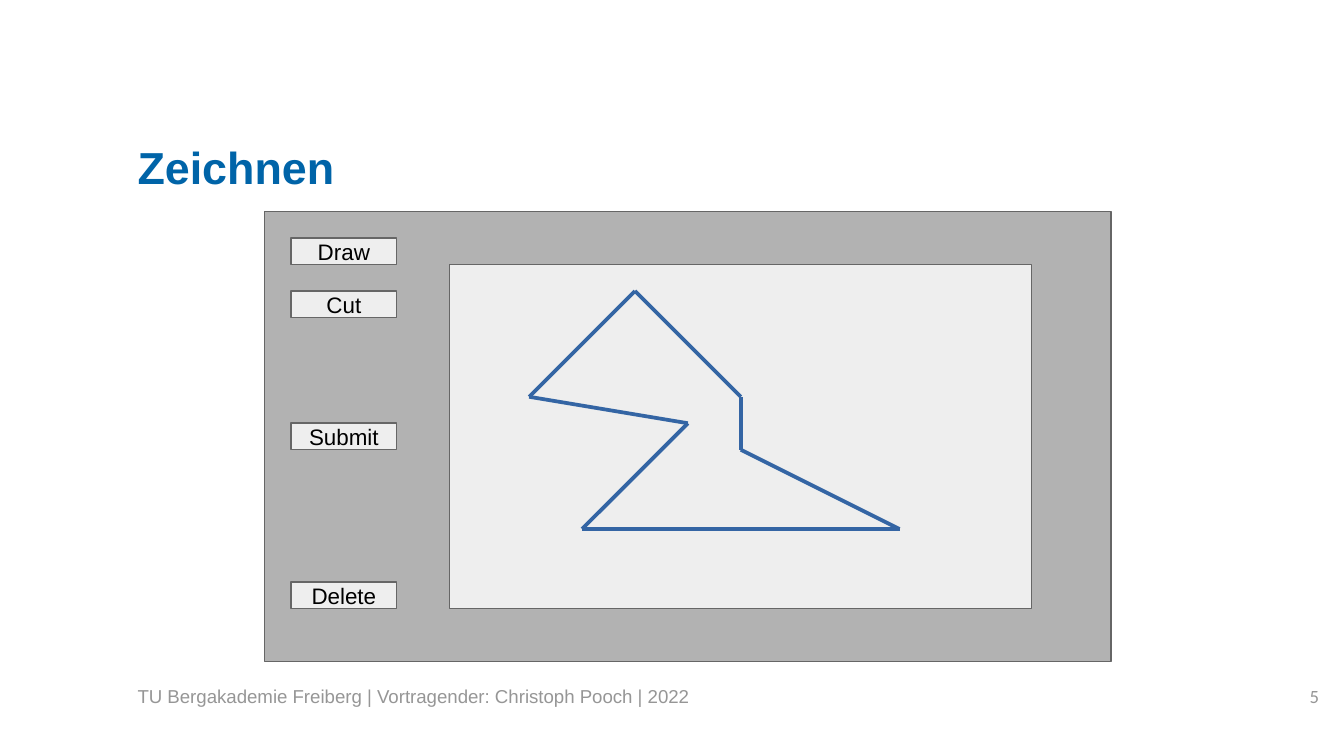
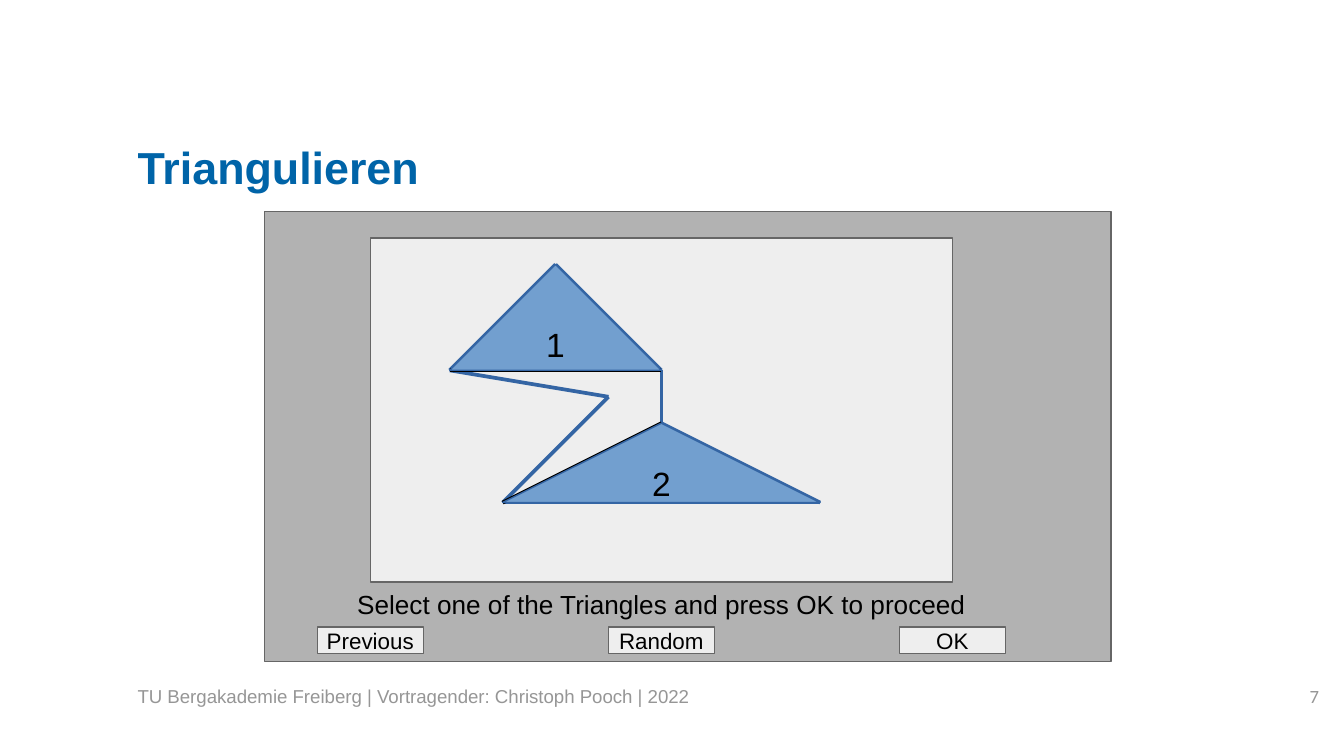
from dataclasses import dataclass

from lxml import etree
from pptx import Presentation
from pptx import util as u
from pptx.dml.color import RGBColor
from pptx.enum import shapes, text
from pptx.oxml import ns


@dataclass(frozen=True)
class Theme:
    font: str = "Arial"
    number_font: str = "Calibri"
    title: str = "0064A8"
    footer: str = "969696"
    ink: str = "000000"
    window: str = "B2B2B2"
    panel: str = "EEEEEE"
    border: str = "666666"
    stroke: str = "3465A4"
    triangle: str = "729FCF"
    title_size: int = 24
    label_size: int = 18
    prompt_size: int = 14
    button_size: int = 12
    footer_size: int = 10


theme = Theme()
RECT = shapes.MSO_SHAPE.RECTANGLE
TRIANGLE = shapes.MSO_SHAPE.ISOSCELES_TRIANGLE
LEFT, CENTER, RIGHT = text.PP_ALIGN.LEFT, text.PP_ALIGN.CENTER, text.PP_ALIGN.RIGHT


def write(tf, words, size, color, align=LEFT, font=theme.font, bold=False, inset=None):
    if inset is not None:
        tf.margin_left = tf.margin_top = tf.margin_right = tf.margin_bottom = inset
    p = tf.paragraphs[0]
    p.alignment = align
    r = p.add_run()
    r.text = words
    r.font.name, r.font.size, r.font.bold = font, u.Pt(size), bold
    r.font.color.rgb = RGBColor.from_string(color)


def add_block(s, kind, box, fill, line, words="", size=theme.button_size):
    sp = s.shapes.add_shape(kind, *map(u.Cm, box))
    sp.shadow.inherit = False
    sp.fill.solid()
    sp.fill.fore_color.rgb = RGBColor.from_string(fill)
    sp.line.color.rgb = RGBColor.from_string(line)
    sp.line.width = u.Pt(0)
    if words:
        tf = sp.text_frame
        tf.word_wrap = False
        tf.vertical_anchor = text.MSO_ANCHOR.MIDDLE
        write(tf, words, size, theme.ink, CENTER)


# Polygon corners in cm, measured from the canvas corner
outline = [(1.5, 2.5), (3.5, 0.5), (5.5, 2.5), (5.5, 3.5), (8.5, 5), (2.5, 5), (4.5, 3)]
edges = [(a, b, theme.stroke) for a, b in zip(outline, outline[1:] + outline[:1])]
cuts = [(outline[5], outline[3], theme.ink), (outline[0], outline[2], theme.ink)]

pages = [
    dict(title="Zeichnen", number="5", canvas=(8.5, 5), lines=edges, triangles=[],
         prompt="",
         buttons=[("Draw", 5.5, 4.5), ("Cut", 5.5, 5.5),
                  ("Submit", 5.5, 8), ("Delete", 5.5, 11)]),
    dict(title="Triangulieren", number="7", canvas=(7, 4.5), lines=edges + cuts,
         triangles=[("2", 2.5, 3.5, 6, 1.5), ("1", 1.5, 0.5, 4, 2)],
         prompt="Select one of the Triangles and press OK to proceed",
         buttons=[(name, 6 + 5.5 * i, 11.85)
                  for i, name in enumerate(("Previous", "Random", "OK"))]),
]

prs = Presentation()
prs.slide_width, prs.slide_height = u.Cm(25.4), u.Cm(14.29)

for page in pages:
    s = prs.slides.add_slide(prs.slide_layouts[5])

    # Title
    title = s.shapes.title
    title.left, title.top, title.width, title.height = map(u.Cm, (2.6, 2.54, 20.3, 1.2))
    title.text_frame.vertical_anchor = text.MSO_ANCHOR.MIDDLE
    write(title.text_frame, page["title"], theme.title_size, theme.title, bold=True, inset=0)

    # Footer and page number
    for words, left, width, align, font in (
        ("TU Bergakademie Freiberg | Vortragender: Christoph Pooch | 2022",
         2.6, 20.3, LEFT, theme.font),
        (page["number"], 22.9, 2.03, RIGHT, theme.number_font),
    ):
        tf = s.shapes.add_textbox(*map(u.Cm, (left, 12.95, width, 1))).text_frame
        tf.word_wrap = True
        write(tf, words, theme.footer_size, theme.footer, align, font, inset=0)

    # Window and canvas
    x0, y0 = page["canvas"]
    add_block(s, RECT, (5, 4, 16, 8.5), theme.window, theme.border)
    add_block(s, RECT, (x0, y0, 11, 6.5), theme.panel, theme.border)

    # Polygon edges and cuts
    for (xa, ya), (xb, yb), color in page["lines"]:
        ends = map(u.Cm, (x0 + xa, y0 + ya, x0 + xb, y0 + yb))
        line = s.shapes.add_connector(shapes.MSO_CONNECTOR.STRAIGHT, *ends)
        line.line.color.rgb = RGBColor.from_string(color)
        line.line.width = u.Pt(0)
        etree.SubElement(line._element.spPr, ns.qn("a:effectLst"))

    # Numbered triangles
    for name, x, y, w, h in page["triangles"]:
        add_block(s, TRIANGLE, (x0 + x, y0 + y, w, h), theme.triangle, theme.stroke,
                  name, theme.label_size)

    # Prompt
    if page["prompt"]:
        tf = s.shapes.add_textbox(*map(u.Cm, (6.5, 11, 12.5, 1.35))).text_frame
        tf.word_wrap = True
        tf.auto_size = text.MSO_AUTO_SIZE.SHAPE_TO_FIT_TEXT
        write(tf, page["prompt"], theme.prompt_size, theme.ink)

    # Buttons
    for name, x, y in page["buttons"]:
        add_block(s, RECT, (x, y, 2, 0.5), theme.panel, theme.border, name)

prs.save("out.pptx")
